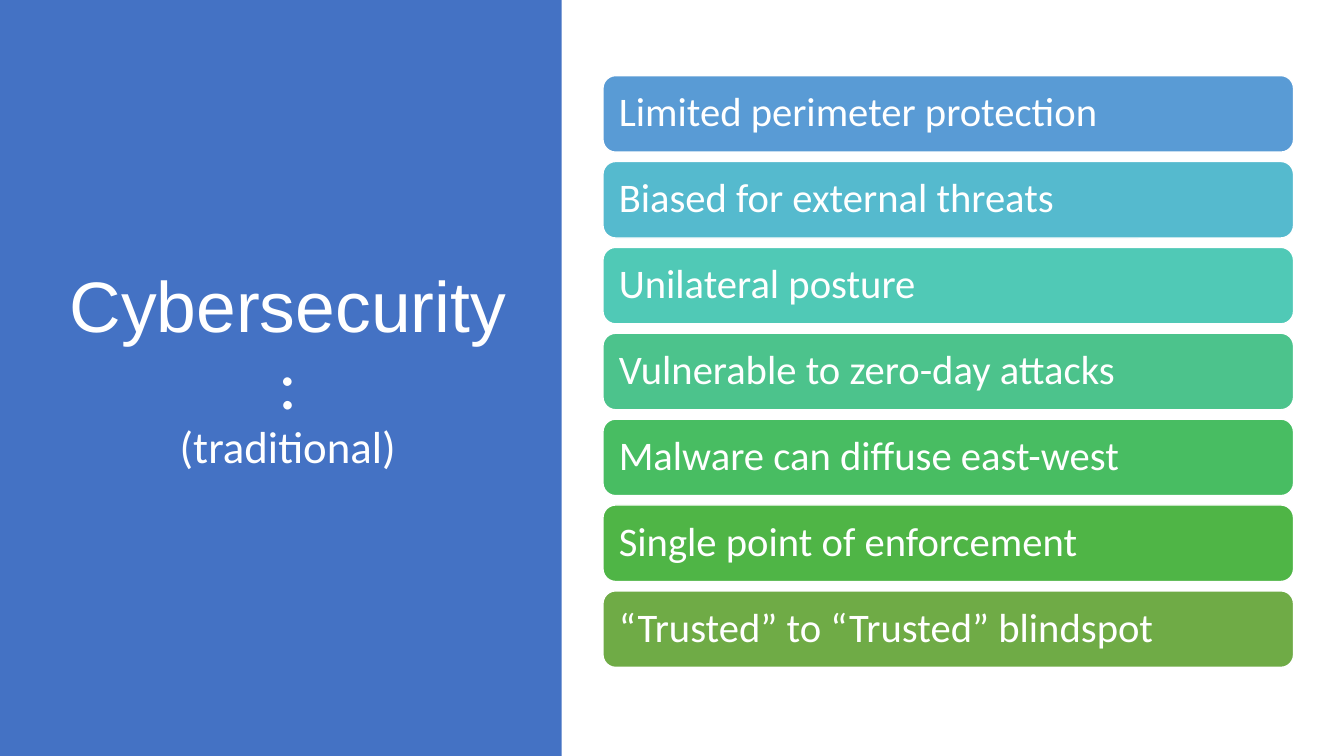
"""Build the slide on the weaknesses of traditional cybersecurity."""
from pptx import Presentation
from pptx.dml.color import RGBColor
from pptx.enum.shapes import MSO_SHAPE
from pptx.enum.text import MSO_ANCHOR, PP_ALIGN
from pptx.util import Inches, Pt

RECTANGLE = MSO_SHAPE.RECTANGLE
ROUNDED = MSO_SHAPE.ROUNDED_RECTANGLE
MIDDLE = MSO_ANCHOR.MIDDLE
LEFT, CENTER = PP_ALIGN.LEFT, PP_ALIGN.CENTER
WHITE = "FFFFFF"
BAR_TOP, BAR_STEP = 0.75, 0.852
WEAKNESSES = [
    ("Limited perimeter protection", "599BD5"),
    ("Biased for external threats", "55BACE"),
    ("Unilateral posture", "50C9B6"),
    ("Vulnerable to zero-day attacks", "4CC38C"),
    ("Malware can diffuse east-west", "48BD62"),
    ("Single point of enforcement", "4FB546"),
    ("“Trusted” to “Trusted” blindspot", "6FAB46"),
]


def color(hex_code):
    return RGBColor.from_string(hex_code)


def style(span, font, size):
    span.font.name = font
    span.font.size = Pt(size)
    span.font.color.rgb = color(WHITE)


deck = Presentation()
deck.slide_width, deck.slide_height = Inches(13.33), Inches(7.5)
page = deck.slides.add_slide(deck.slide_layouts[6])

panel = page.shapes.add_shape(RECTANGLE, 0, 0, Inches(5.57), Inches(7.5))
panel.shadow.inherit = False
panel.fill.solid()
panel.fill.fore_color.rgb = color("4472C4")
panel.line.fill.background()

title = page.shapes.add_textbox(Inches(0.57), Inches(0.68), Inches(4.57), Inches(6.02))
title.text_frame.word_wrap = True
title.text_frame.vertical_anchor = MIDDLE
para = title.text_frame.paragraphs[0]
para.text = "Cybersecurity"
para.alignment = CENTER
para.line_spacing = 0.9
style(para.runs[0], "Arial", 51)
colon = para.add_run()
colon.text = ":"
style(colon, "Calibri", 51)
para.add_line_break()
subtitle = para.add_run()
subtitle.text = "(traditional)"
style(subtitle, "Calibri", 32)

for index, (weakness, fill) in enumerate(WEAKNESSES):
    top = Inches(BAR_TOP + index * BAR_STEP)
    bar = page.shapes.add_shape(ROUNDED, Inches(5.98), top, Inches(6.85), Inches(0.76))
    bar.adjustments[0] = 0.167
    bar.shadow.inherit = False
    bar.fill.solid()
    bar.fill.fore_color.rgb = color(fill)
    bar.line.color.rgb = color(WHITE)
    bar.line.width = Pt(1)
    frame = bar.text_frame
    frame.text = weakness
    frame.word_wrap = True
    frame.vertical_anchor = MIDDLE
    frame.margin_left = frame.margin_right = Inches(0.12)
    frame.margin_top = frame.margin_bottom = Inches(0.12)
    para = frame.paragraphs[0]
    para.alignment = LEFT
    para.line_spacing = 0.9
    style(para.runs[0], "Calibri", 29)

deck.save("out.pptx")
